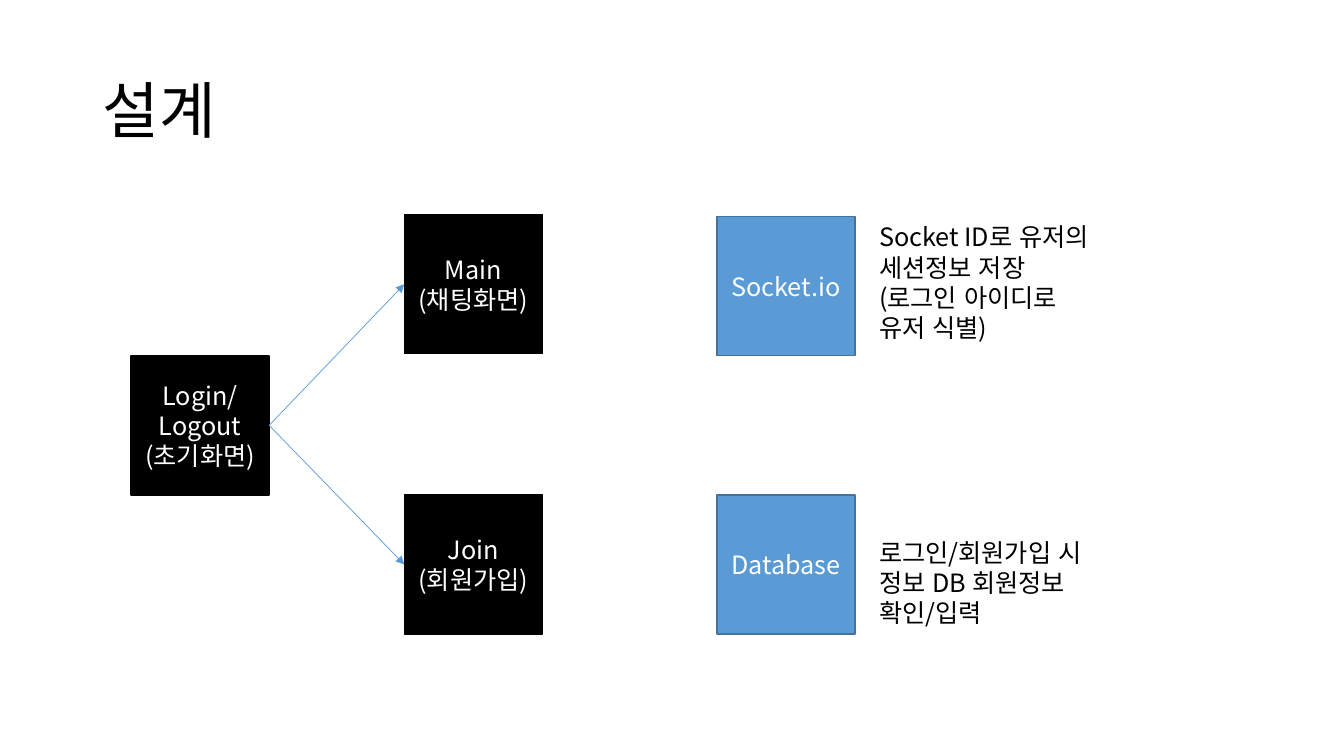
from dataclasses import dataclass

from lxml import etree
from pptx import Presentation
from pptx.dml.color import RGBColor
from pptx.enum.lang import MSO_LANGUAGE_ID as LANG
from pptx.enum.shapes import MSO_CONNECTOR as CONNECTOR, MSO_SHAPE as SHAPE
from pptx.enum.text import MSO_ANCHOR as ANCHOR, PP_ALIGN as ALIGN
from pptx.oxml.ns import qn
from pptx.shapes.autoshape import Shape
from pptx.slide import Slide
from pptx.text.text import TextFrame
from pptx.util import Inches, Pt

FONT = "Noto Sans CJK KR"
COLORS = {"black": "000000", "white": "FFFFFF", "blue": "5B9BD5", "edge": "43739E"}
BOX_W, BOX_H = 1.37, 1.38


@dataclass
class Box:
    text: str
    left: float
    top: float
    fill: str = "black"
    line: str = "black"


@dataclass
class Note:
    text: str
    left: float
    top: float
    width: float
    height: float
    size: int = 18
    anchor: ANCHOR = ANCHOR.TOP
    spacing: float = 1.0


LOGIN = Box("Login/\nLogout\n(초기화면)", 1.3, 3.53)
SCREENS = [Box("Main\n(채팅화면)", 4.01, 2.13), Box("Join\n(회원가입)", 4.01, 4.91)]
SERVICES = [
    Box("Socket.io", 7.11, 2.15, "blue", "edge"),
    Box("Database", 7.11, 4.91, "blue", "edge"),
]
NOTES = [
    Note("설계", 0.92, 0.4, 11.5, 1.45, size=44, anchor=ANCHOR.MIDDLE, spacing=0.9),
    Note("Socket ID로 유저의\n세션정보 저장\n(로그인 아이디로 유저 식별)", 8.62, 2.15, 2.41, 1.62),
    Note("로그인/회원가입 시\n정보 DB 회원정보\n확인/입력", 8.62, 5.28, 2.42, 1.01),
]


def rgb(name: str) -> RGBColor:
    return RGBColor.from_string(COLORS[name])


def write(tf: TextFrame, text: str, *, size: int = 18, color: str = "black",
          align: ALIGN = ALIGN.LEFT, anchor: ANCHOR = ANCHOR.TOP,
          spacing: float = 1.0) -> None:
    """Fill a text frame with one paragraph per line of text."""
    tf.word_wrap = True
    tf.vertical_anchor = anchor
    for i, line in enumerate(text.split("\n")):
        p = tf.add_paragraph() if i else tf.paragraphs[0]
        p.alignment = align
        p.line_spacing = spacing
        r = p.add_run()
        r.text = line
        r.font.name = FONT
        r.font.size = Pt(size)
        r.font.color.rgb = rgb(color)
        r.font.language_id = LANG.KOREAN
        etree.SubElement(r.font._element, qn("a:ea"), typeface=FONT)


def add_box(s: Slide, box: Box) -> Shape:
    sp = s.shapes.add_shape(SHAPE.RECTANGLE, Inches(box.left), Inches(box.top),
                            Inches(BOX_W), Inches(BOX_H))
    sp.shadow.inherit = False
    sp.fill.solid()
    sp.fill.fore_color.rgb = rgb(box.fill)
    sp.line.color.rgb = rgb(box.line)
    sp.line.width = Pt(1)
    write(sp.text_frame, box.text, color="white", align=ALIGN.CENTER, anchor=ANCHOR.MIDDLE)
    return sp


def add_note(s: Slide, note: Note) -> None:
    sp = s.shapes.add_textbox(Inches(note.left), Inches(note.top),
                              Inches(note.width), Inches(note.height))
    write(sp.text_frame, note.text, size=note.size, anchor=note.anchor, spacing=note.spacing)


def add_arrow(s: Slide, start: Shape, end: Shape) -> None:
    """Join the right side of one box to the left side of another."""
    arrow = s.shapes.add_connector(CONNECTOR.STRAIGHT, 0, 0, 0, 0)
    arrow.begin_connect(start, 3)
    arrow.end_connect(end, 1)
    arrow.line.color.rgb = rgb("blue")
    arrow.line.width = Pt(0.5)
    etree.SubElement(arrow.line._get_or_add_ln(), qn("a:tailEnd"), type="triangle")
    etree.SubElement(arrow._element.spPr, qn("a:effectLst"))


def main() -> None:
    prs = Presentation()
    prs.slide_width, prs.slide_height = Inches(13.33), Inches(7.5)
    s = prs.slides.add_slide(prs.slide_layouts[6])
    login = add_box(s, LOGIN)
    for screen in SCREENS:
        add_arrow(s, login, add_box(s, screen))
    for service in SERVICES:
        add_box(s, service)
    for note in NOTES:
        add_note(s, note)
    prs.save("out.pptx")


if __name__ == "__main__":
    main()
